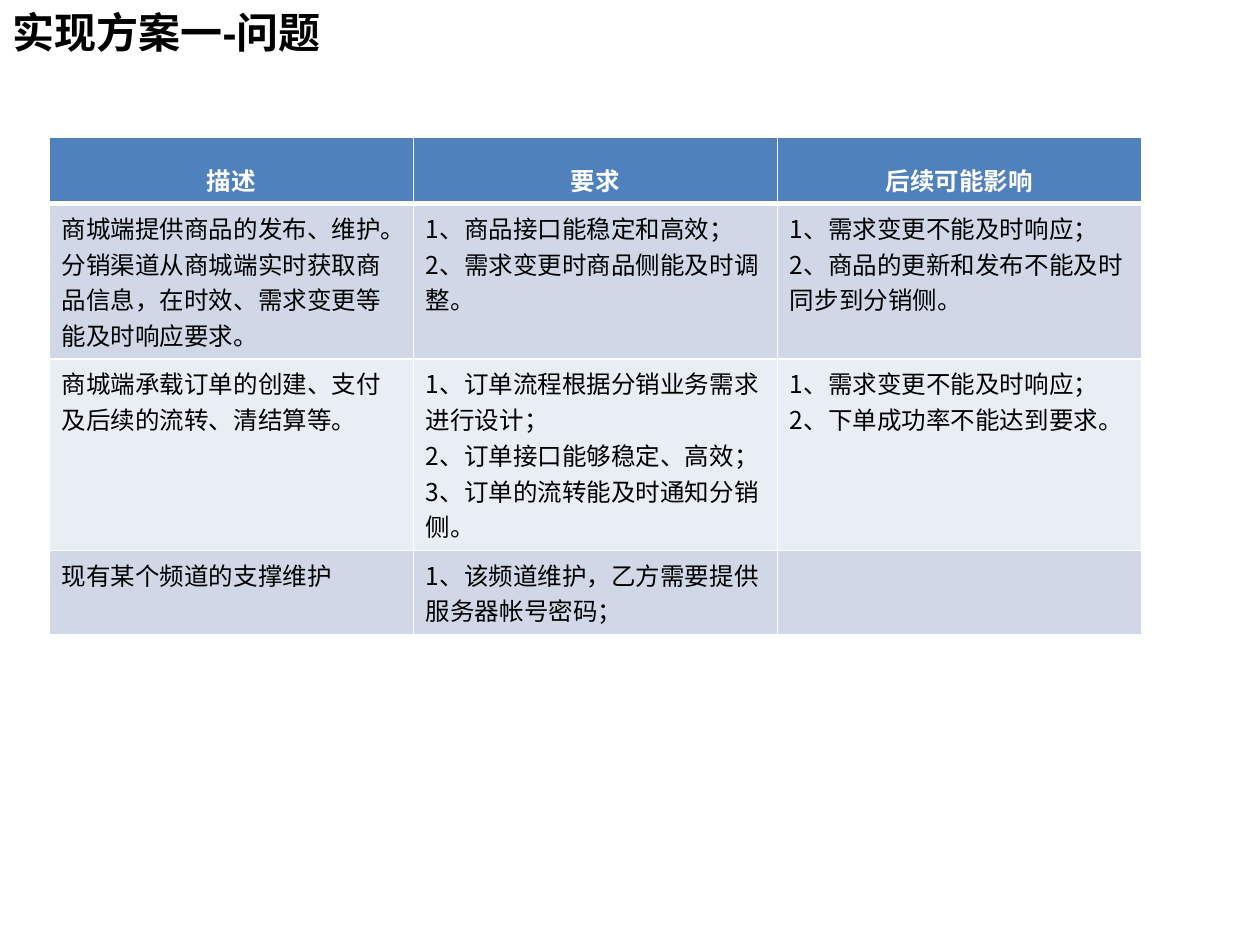
from lxml import etree
from pptx import Presentation
from pptx.dml.color import RGBColor
from pptx.enum.text import MSO_ANCHOR, PP_ALIGN
from pptx.oxml.ns import qn
from pptx.util import Inches, Pt

LEFT, CENTER = PP_ALIGN.LEFT, PP_ALIGN.CENTER
MIDDLE = MSO_ANCHOR.MIDDLE
TITLE_ONLY = 5

BLACK = RGBColor(0x00, 0x00, 0x00)
WHITE = RGBColor(0xFF, 0xFF, 0xFF)
BLUE = RGBColor(0x4F, 0x81, 0xBD)
BANDS = [RGBColor(0xD0, 0xD8, 0xE8), RGBColor(0xE9, 0xED, 0xF4)]

# Content: each cell is a list of paragraphs
TITLE = "实现方案一-问题"
HEADS = ["描述", "要求", "后续可能影响"]
ROWS = [
    [
        ["商城端提供商品的发布、维护。分销渠道从商城端实时获取商品信息，在时效、需求变更等能及时响应要求。"],
        ["1、商品接口能稳定和高效；", "2、需求变更时商品侧能及时调整。"],
        ["1、需求变更不能及时响应；", "2、商品的更新和发布不能及时同步到分销侧。"],
    ],
    [
        ["商城端承载订单的创建、支付及后续的流转、清结算等。"],
        ["1、订单流程根据分销业务需求进行设计；", "2、订单接口能够稳定、高效；",
         "3、订单的流转能及时通知分销侧。"],
        ["1、需求变更不能及时响应；", "2、下单成功率不能达到要求。"],
    ],
    [
        ["现有某个频道的支撑维护"],
        ["1、该频道维护，乙方需要提供服务器帐号密码；"],
        [],
    ],
]


def style(para, font, size, color, bold, align):
    para.alignment = align
    para.font.name = font
    para.font.size = Pt(size)
    para.font.bold = bold
    para.font.color.rgb = color


def border(cell, widths):
    props = cell._tc.get_or_add_tcPr()
    for side, width in widths.items():
        line = etree.SubElement(props, qn("a:ln" + side), w=str(Pt(width)))
        fill = etree.SubElement(line, qn("a:solidFill"))
        etree.SubElement(fill, qn("a:srgbClr"), val=str(WHITE))


def fill_cell(cell, lines, row):
    head = row == 0
    border(cell, {"L": 1, "R": 1, "T": 3 if row == 1 else 1, "B": 3 if head else 1})
    cell.fill.solid()
    cell.fill.fore_color.rgb = BLUE if head else BANDS[(row - 1) % 2]
    cell.text = "\n".join(lines)
    for para in cell.text_frame.paragraphs:
        style(para, "Noto Sans CJK SC", 14, WHITE if head else BLACK,
              head, CENTER if head else LEFT)
        if head:
            para.line_spacing = 1.5


prs = Presentation()
prs.slide_width, prs.slide_height = Inches(10), Inches(7.5)
slide = prs.slides.add_slide(prs.slide_layouts[TITLE_ONLY])

# Title
title = slide.shapes.title
title.left, title.top = Inches(0), Inches(0)
title.width, title.height = Inches(7.81), Inches(0.56)
title.text_frame.text = TITLE
title.text_frame.vertical_anchor = MIDDLE
title.text_frame.margin_top = Inches(0)
style(title.text_frame.paragraphs[0], "Arial", 24, BLACK, True, LEFT)

# Table: rows start low and grow with their text
grid = [[[head] for head in HEADS]] + ROWS
frame = slide.shapes.add_table(len(grid), len(HEADS), Inches(0.39), Inches(1.09),
                               Inches(8.67), Inches(4.75))
table = frame.table
for r, cells in enumerate(grid):
    table.rows[r].height = Inches(0.41)
    for c, lines in enumerate(cells):
        fill_cell(table.cell(r, c), lines, r)
frame.height = Inches(4.75)

prs.save("out.pptx")
